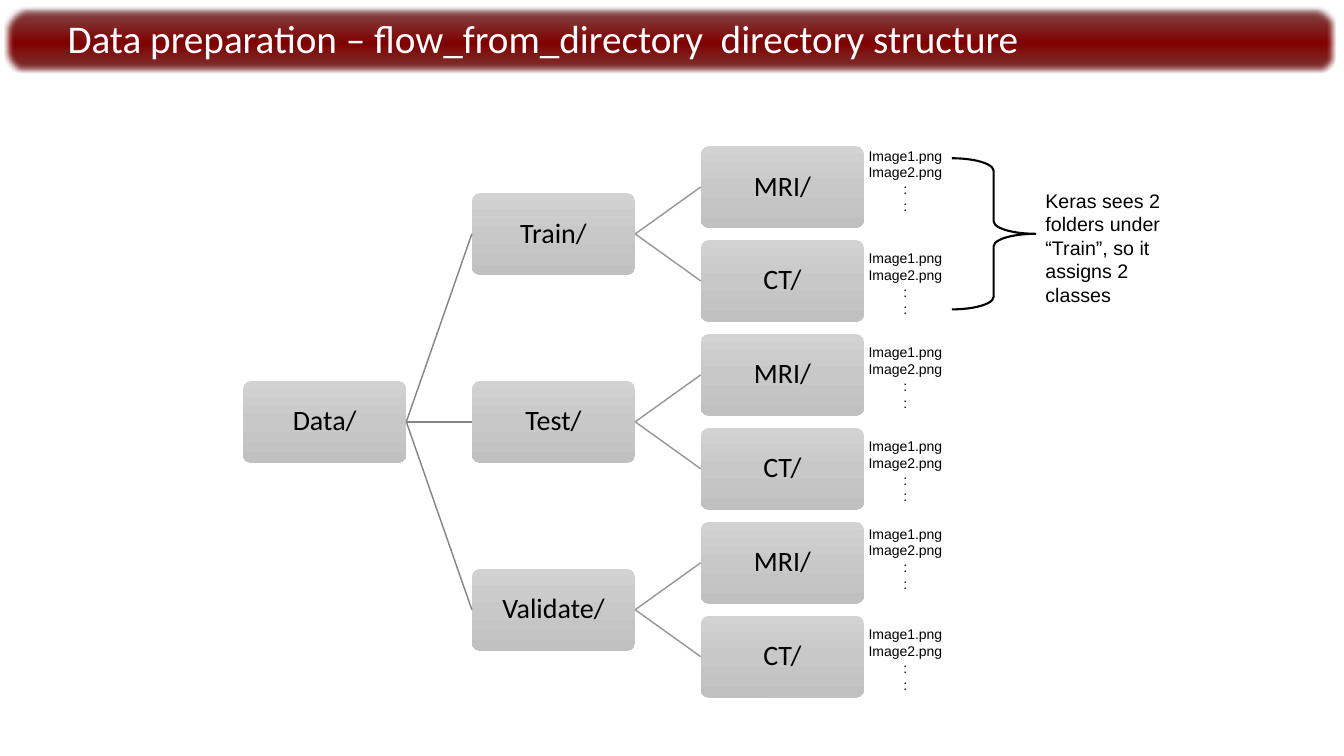
from copy import deepcopy
from dataclasses import dataclass

from lxml import etree
from pptx import Presentation
from pptx.dml.color import RGBColor as Rgb
from pptx.enum.shapes import MSO_CONNECTOR as Connector, MSO_SHAPE as Preset
from pptx.enum.text import MSO_ANCHOR as Anchor, MSO_AUTO_SIZE as AutoSize, PP_ALIGN as Align
from pptx.oxml.ns import qn
from pptx.shapes.autoshape import Shape
from pptx.slide import Slide
from pptx.util import Inches, Pt


@dataclass(frozen=True)
class Stop:
    position: int
    color: str
    opacity: int = 100


@dataclass(frozen=True)
class Theme:
    heading_font: str = "Calibri"
    body_font: str = "Arial"
    title_size: int = 28
    folder_size: int = 20
    note_size: int = 14
    file_size: int = 10
    black: str = "000000"
    white: str = "FFFFFF"
    root_link: str = "848484"
    class_link: str = "969696"
    folder_fill: tuple[Stop, ...] = (Stop(0, "D2D2D2"), Stop(50, "C8C8C8"), Stop(100, "C0C0C0"))
    banner_fill: tuple[Stop, ...] = (
        Stop(0, "808080", 50), Stop(5, "814949"), Stop(54, "800000"),
        Stop(96, "7F3838"), Stop(100, "808080", 50))


@dataclass(frozen=True)
class Box:
    left: float
    top: float
    width: float
    height: float

    def emu(self) -> tuple[int, ...]:
        return tuple(Inches(v) for v in (self.left, self.top, self.width, self.height))


@dataclass(frozen=True)
class Split:
    name: str
    file_tops: tuple[float, float]


THEME = Theme()
CLASSES = ("MRI/", "CT/")
SPLITS = (Split("Train/", (1.41, 2.43)),
          Split("Test/", (3.36, 4.29)),
          Split("Validate/", (5.16, 6.16)))
FILES = "Image1.png\nImage2.png\n:\n:"

# Tree grid: three columns, six evenly spaced leaf rows
COLUMNS = (2.41, 4.68, 6.95)
FIRST_ROW, LAST_ROW = 1.45, 6.11
ROW_PITCH = (LAST_ROW - FIRST_ROW) / (len(SPLITS) * len(CLASSES) - 1)


def write(shape: Shape, text: str, *, size: int, font: str, color: str = THEME.black,
          align: Align = Align.LEFT, anchor: Anchor = Anchor.TOP, spacing: float = 1.0,
          inset: float | None = None, wrap: bool = True, grow: bool = False) -> None:
    frame = shape.text_frame
    frame.word_wrap = wrap
    frame.vertical_anchor = anchor
    frame.auto_size = AutoSize.SHAPE_TO_FIT_TEXT if grow else AutoSize.NONE
    if inset is not None:
        frame.margin_left = frame.margin_right = Inches(inset)
        frame.margin_top = frame.margin_bottom = Inches(inset)
    paragraph = frame.paragraphs[0]
    paragraph.text = text
    paragraph.alignment = align
    paragraph.line_spacing = spacing
    for run in paragraph.runs:
        run.font.size, run.font.name = Pt(size), font
        run.font.color.rgb = Rgb.from_string(color)
    # Line breaks take the type size of the text around them
    for line_break in paragraph._p.findall(qn("a:br")):
        line_break.append(deepcopy(paragraph.runs[0]._r.rPr))


def add_effects(shape) -> etree._Element:
    return etree.SubElement(shape._element.spPr, qn("a:effectLst"))


def gradient_bar(slide: Slide, box: Box, corner: float, stops: tuple[Stop, ...]) -> Shape:
    bar = slide.shapes.add_shape(Preset.ROUNDED_RECTANGLE, *box.emu())
    bar.adjustments[0] = corner
    bar.line.fill.background()
    bar.fill.gradient()
    bar.fill.gradient_angle = 270
    stop_list = bar._element.spPr.find(".//" + qn("a:gsLst"))
    for old_stop in list(stop_list):
        stop_list.remove(old_stop)
    for stop in stops:
        entry = etree.SubElement(stop_list, qn("a:gs"), pos=str(stop.position * 1000))
        color = etree.SubElement(entry, qn("a:srgbClr"), val=stop.color)
        if stop.opacity < 100:
            etree.SubElement(color, qn("a:alpha"), val=str(stop.opacity * 1000))
    return bar


def folder(slide: Slide, name: str, column: int, row: float) -> Shape:
    box = Box(COLUMNS[column], FIRST_ROW + row * ROW_PITCH, 1.62, 0.81)
    node = gradient_bar(slide, box, 0.1, THEME.folder_fill)
    node.shadow.inherit = False
    write(node, name, size=THEME.folder_size, font=THEME.heading_font, align=Align.CENTER,
          anchor=Anchor.MIDDLE, spacing=0.9, inset=0.04)
    return node


def link(slide: Slide, parent: Shape, child: Shape, color: str) -> None:
    branch = slide.shapes.add_connector(Connector.STRAIGHT, 0, 0, 0, 0)
    branch.begin_connect(parent, 3)
    branch.end_connect(child, 1)
    branch.line.color.rgb = Rgb.from_string(color)
    branch.line.width = Pt(1)
    add_effects(branch)


def draw_title(slide: Slide) -> None:
    banner = gradient_bar(slide, Box(0.05, 0.07, 13.2, 0.66), 0.27, THEME.banner_fill)
    etree.SubElement(add_effects(banner), qn("a:softEdge"), rad=str(Pt(5)))
    title = slide.shapes.add_textbox(*Box(0.67, 0.13, 12.43, 0.55).emu())
    write(title, "Data preparation – flow_from_directory  directory structure",
          size=THEME.title_size, font=THEME.heading_font, color=THEME.white,
          anchor=Anchor.MIDDLE, spacing=0.9, inset=0)


def draw_tree(slide: Slide) -> None:
    count = len(CLASSES)
    root = folder(slide, "Data/", 0, (len(SPLITS) * count - 1) / 2)
    for index, split in enumerate(SPLITS):
        first_row = index * count
        split_folder = folder(slide, split.name, 1, first_row + (count - 1) / 2)
        link(slide, root, split_folder, THEME.root_link)
        for offset, (class_name, file_top) in enumerate(zip(CLASSES, split.file_tops)):
            class_folder = folder(slide, class_name, 2, first_row + offset)
            link(slide, split_folder, class_folder, THEME.class_link)
            files = slide.shapes.add_textbox(*Box(8.51, file_top, 0.94, 0.77).emu())
            write(files, FILES, size=THEME.file_size, font=THEME.body_font,
                  align=Align.CENTER, wrap=False, grow=True)


def draw_note(slide: Slide) -> None:
    brace = slide.shapes.add_shape(Preset.RIGHT_BRACE, *Box(9.44, 1.57, 0.83, 1.5).emu())
    brace.adjustments[0] = 0.15
    brace.fill.background()
    brace.line.color.rgb = Rgb.from_string(THEME.black)
    brace.line.width = Pt(1.5)
    brace.shadow.inherit = False
    note = slide.shapes.add_textbox(*Box(10.4, 1.82, 1.46, 1.28).emu())
    note.left, note.width = Inches(10.27), Inches(1.59)
    write(note, "Keras sees 2 folders under “Train”, so it assigns 2 classes",
          size=THEME.note_size, font=THEME.body_font, grow=True)


def main() -> None:
    deck = Presentation()
    deck.slide_width, deck.slide_height = Inches(13.33), Inches(7.5)
    slide = deck.slides.add_slide(deck.slide_layouts[6])
    draw_title(slide)
    draw_tree(slide)
    draw_note(slide)
    deck.save("out.pptx")


if __name__ == "__main__":
    main()
